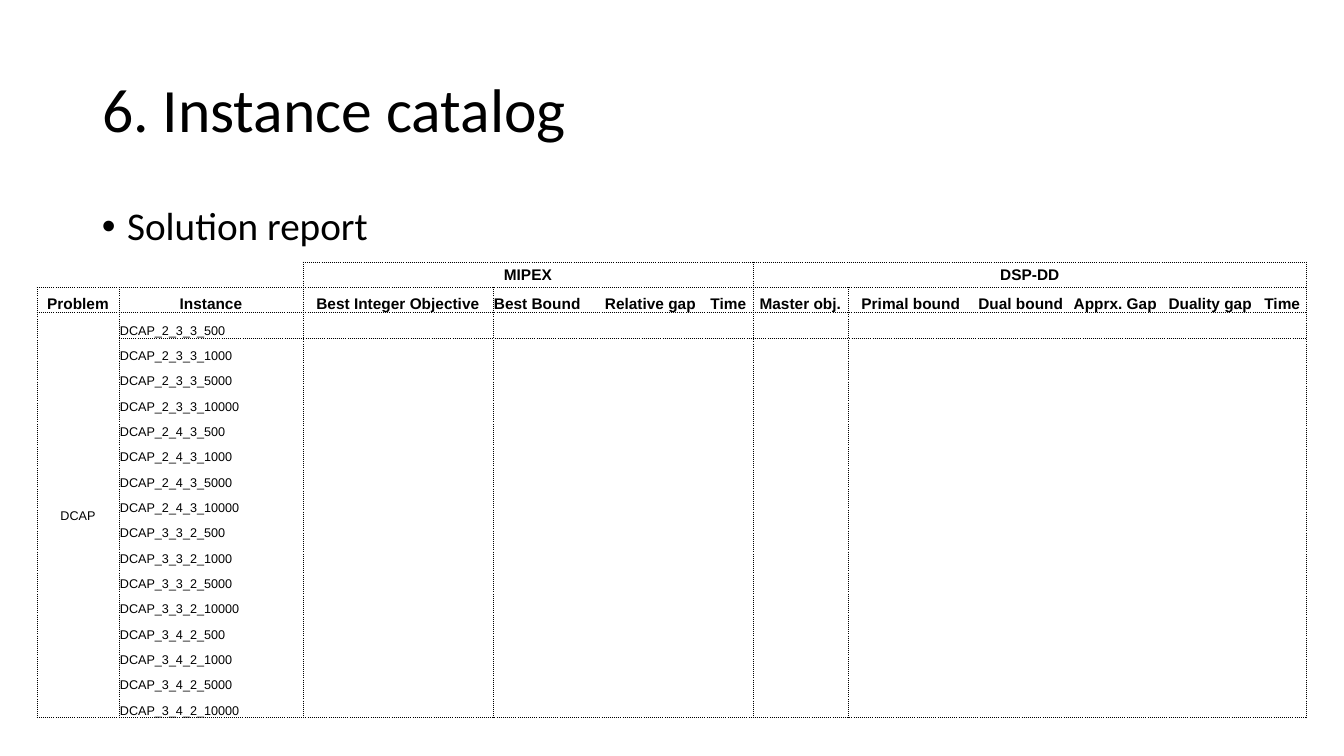
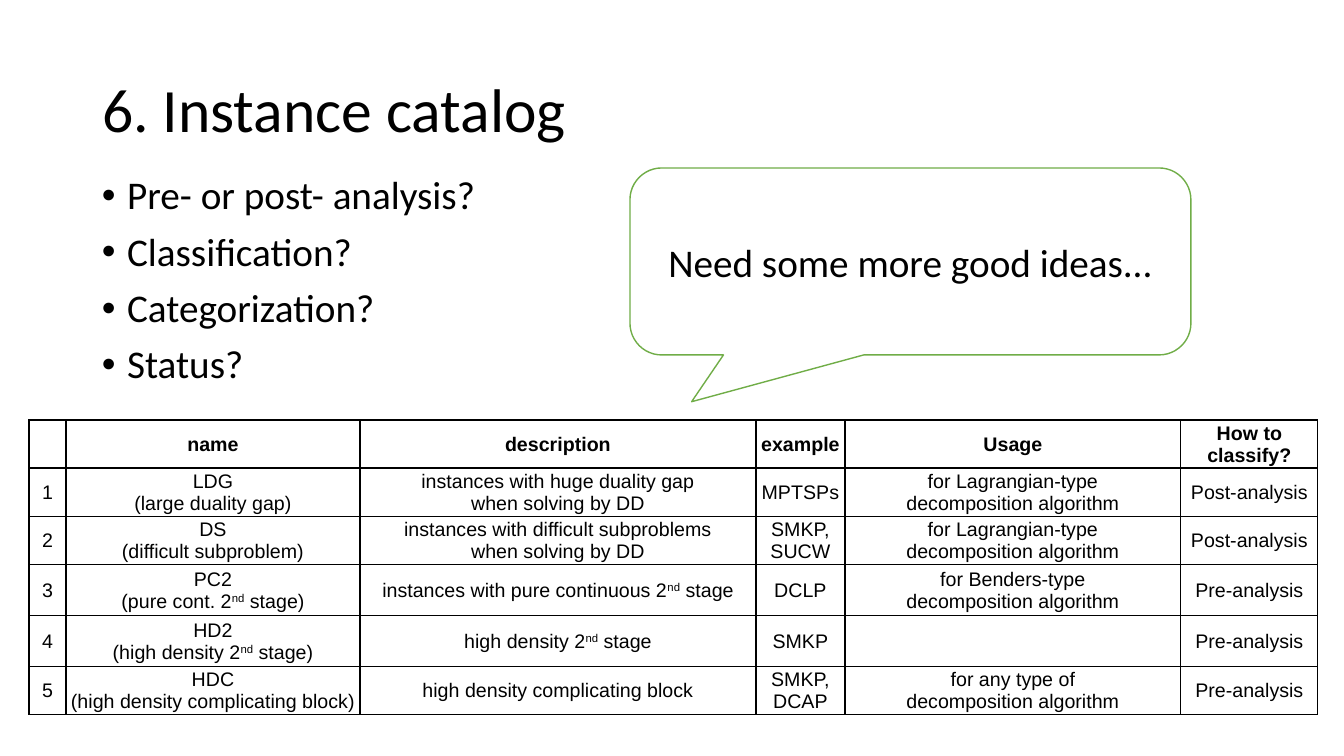
from dataclasses import dataclass
from itertools import product

from lxml import etree
from pptx import Presentation
from pptx.dml.color import RGBColor
from pptx.enum.shapes import MSO_SHAPE
from pptx.enum.text import MSO_ANCHOR, PP_ALIGN
from pptx.oxml.ns import qn
from pptx.util import Emu, Pt

LEFT, CENTER = PP_ALIGN.LEFT, PP_ALIGN.CENTER
TOP, MIDDLE, BOTTOM = MSO_ANCHOR.TOP, MSO_ANCHOR.MIDDLE, MSO_ANCHOR.BOTTOM
CALLOUT = MSO_SHAPE.ROUNDED_RECTANGULAR_CALLOUT
TITLE_ONLY = 5
NO_GRID_STYLE = "{2D5ABB26-0587-4C30-8999-92F81FD0307C}"
SCALE = 914400 / 100.8


@dataclass(frozen=True)
class Theme:
    """Colours, fonts and type sizes shared by the slides."""
    ink: str = "000000"
    paper: str = "FFFFFF"
    accent: str = "70AD47"
    text_font: str = "Calibri"
    table_font: str = "Arial"
    title_size: int = 44
    body_size: int = 28
    table_size: int = 14
    report_head_size: int = 11
    report_size: int = 9


THEME = Theme()

TITLE = "6. Instance catalog"
TITLE_BOX = (92, 40, 1159, 146)

REPORT_COLS = [82, 184, 190, 104, 107, 49, 95, 126, 94, 95, 95, 49]
REPORT_HEADS = [
    "Problem", "Instance", "Best Integer Objective", "Best Bound",
    "Relative gap", "Time", "Master obj.", "Primal bound", "Dual bound",
    "Apprx. Gap", "Duality gap", "Time",
]
REPORT_ROW_BANDS = [(0, 0), (1, 1), (2, 17)]
REPORT_COL_BANDS = [(0, 0), (1, 1), (2, 5), (6, 11)]
INSTANCES = [
    f"DCAP_{size}_{scenarios}"
    for size, scenarios in product(
        ("2_3_3", "2_4_3", "3_3_2", "3_4_2"), (500, 1000, 5000, 10000))
]

QUESTIONS = ["Pre- or post- analysis?", "Classification?",
             "Categorization?", "Status?"]
CLASS_COLS = [37, 294, 396, 89, 336, 137]
CLASS_ROWS = [45, 46, 45, 51, 51, 45]
LAGRANGIAN = "for Lagrangian-type\ndecomposition algorithm"
CLASSES = [
    ["", "name", "description", "example", "Usage", "How to classify?"],
    ["1", "LDG\n(large duality gap)",
     "instances with huge duality gap\nwhen solving by DD",
     "MPTSPs", LAGRANGIAN, "Post-analysis"],
    ["2", "DS\n(difficult subproblem)",
     "instances with difficult subproblems\nwhen solving by DD",
     "SMKP, SUCW", LAGRANGIAN, "Post-analysis"],
    ["3", "PC2\n(pure cont. 2^nd^ stage)",
     "instances with pure continuous 2^nd^ stage",
     "DCLP", "for Benders-type\ndecomposition algorithm", "Pre-analysis"],
    ["4", "HD2\n(high density 2^nd^ stage)", "high density 2^nd^ stage",
     "SMKP", "", "Pre-analysis"],
    ["5", "HDC\n(high density complicating block)",
     "high density complicating block",
     "SMKP, DCAP", "for any type of\ndecomposition algorithm",
     "Pre-analysis"],
]


def px(value):
    """Turn pixels into EMU."""
    return Emu(round(value * SCALE))


def add_bullet(p):
    """Give a paragraph a round bullet with a hanging indent."""
    pPr = p._p.get_or_add_pPr()
    pPr.set("marL", "228600")
    pPr.set("indent", "-228600")
    etree.SubElement(pPr, qn("a:buFont"), typeface="Arial")
    etree.SubElement(pPr, qn("a:buChar"), char="\u2022")


def put_text(tf, text, *, size, font=THEME.text_font, bold=False, align=LEFT,
             anchor=TOP, spacing=None, before=None, bullet=False):
    """Write one paragraph a line; text between carets is superscript."""
    tf.word_wrap = True
    tf.vertical_anchor = anchor
    for i, line in enumerate(text.split("\n")):
        p = tf.paragraphs[0] if i == 0 else tf.add_paragraph()
        p.alignment = align
        if spacing:
            p.line_spacing = spacing
        if before:
            p.space_before = Pt(before)
        if bullet:
            add_bullet(p)
        if not line:
            etree.SubElement(p._p, qn("a:endParaRPr"), sz=str(size * 100))
            continue
        for j, part in enumerate(line.split("^")):
            r = p.add_run()
            r.text = part
            r.font.name, r.font.size, r.font.bold = font, Pt(size), bold
            r.font.color.rgb = RGBColor.from_string(THEME.ink)
            if j % 2:
                r._r.get_or_add_rPr().set("baseline", "30000")


def add_titled_slide(prs):
    """Add a slide with the shared title."""
    s = prs.slides.add_slide(prs.slide_layouts[TITLE_ONLY])
    title = s.shapes.title
    title.left, title.top, title.width, title.height = map(px, TITLE_BOX)
    put_text(title.text_frame, TITLE, size=THEME.title_size, anchor=MIDDLE,
             spacing=0.9)
    return s


def add_bullets(s, top, lines):
    """Add the bulleted body text."""
    sp = s.shapes.add_textbox(px(92), px(top), px(1159), px(480))
    put_text(sp.text_frame, "\n".join(lines), size=THEME.body_size,
             spacing=0.9, before=10, bullet=True)


def add_plain_table(s, left, top, cols, rows):
    """Add an unstyled table with the given column widths and row heights."""
    frame = s.shapes.add_table(len(rows), len(cols), px(left), px(top),
                               px(sum(cols)), px(sum(rows)))
    table = frame.table
    table.first_row = table.horz_banding = False
    table._tbl.tblPr.find(qn("a:tableStyleId")).text = NO_GRID_STYLE
    for column, width in zip(table.columns, cols):
        column.width = px(width)
    for row, height in zip(table.rows, rows):
        row.height = px(height)
    return table


def fill_cell(cell, text, *, size, anchor=MIDDLE, align=CENTER, bold=False):
    """Write a cell with narrow margins and no fill."""
    cell.margin_left = cell.margin_right = cell.margin_top = px(1)
    cell.margin_bottom = 0
    cell.fill.background()
    put_text(cell.text_frame, text, size=size, font=THEME.table_font,
             bold=bold, align=align)
    cell.vertical_anchor = anchor


def set_borders(cell, sides, width, dash):
    """Draw the named sides (from L, R, T, B) of a cell."""
    tcPr = cell._tc.get_or_add_tcPr()
    for i, side in enumerate(sides):
        ln = etree.Element(qn(f"a:ln{side}"), w=str(Pt(width)))
        fill = etree.SubElement(ln, qn("a:solidFill"))
        etree.SubElement(fill, qn("a:srgbClr"), val=THEME.ink)
        etree.SubElement(ln, qn("a:prstDash"), val=dash)
        tcPr.insert(i, ln)


def outline(table, row_band, col_band, width, dash):
    """Draw a border round a block of cells."""
    (r0, r1), (c0, c1) = row_band, col_band
    for r, c in product(range(r0, r1 + 1), range(c0, c1 + 1)):
        cell = table.cell(r, c)
        edges = {"L": c == c0, "R": c == c1, "T": r == r0, "B": r == r1}
        merged = cell.is_merge_origin or cell.is_spanned
        sides = [side for side, on in edges.items() if on or merged]
        set_borders(cell, sides, width, dash)


def report_cell(r, c):
    """Return the text and format of one cell of the solution report."""
    head = dict(size=THEME.report_head_size, bold=True)
    body = dict(size=THEME.report_size)
    if r == 0:
        return {2: "MIPEX", 6: "DSP-DD"}.get(c, ""), head
    if r == 1:
        align = LEFT if REPORT_HEADS[c] == "Best Bound" else CENTER
        return REPORT_HEADS[c], dict(head, anchor=BOTTOM, align=align)
    if c == 1:
        return INSTANCES[r - 2], dict(body, anchor=BOTTOM, align=LEFT)
    return ("DCAP" if (r, c) == (2, 0) else ""), body


def build_report(prs):
    """Build the solution report slide."""
    s = add_titled_slide(prs)
    add_bullets(s, 202, ["Solution report"])
    count = len(INSTANCES) + 2
    table = add_plain_table(s, 37, 262, REPORT_COLS, [456 / count] * count)
    for r, c in product(range(count), range(len(REPORT_COLS))):
        text, style = report_cell(r, c)
        fill_cell(table.cell(r, c), text, **style)
    for first, last in [((0, 2), (0, 5)), ((0, 6), (0, 11)),
                        ((2, 0), (count - 1, 0))]:
        table.cell(*first).merge(table.cell(*last))
    for row_band, col_band in product(REPORT_ROW_BANDS, REPORT_COL_BANDS):
        if row_band[0] > 0 or col_band[0] > 1:
            outline(table, row_band, col_band, 0.5, "dot")
    set_borders(table.cell(0, 0), "B", 0.5, "dot")
    set_borders(table.cell(0, 1), "RB", 0.5, "dot")


def add_callout(s, text):
    """Add the rounded speech callout."""
    sp = s.shapes.add_shape(CALLOUT, px(630), px(168), px(561), px(187))
    for i, value in enumerate((-0.39, 0.75, 0.17)):
        sp.adjustments[i] = value
    sp.shadow.inherit = False
    sp.fill.solid()
    sp.fill.fore_color.rgb = RGBColor.from_string(THEME.paper)
    sp.line.color.rgb = RGBColor.from_string(THEME.accent)
    sp.line.width = Pt(1)
    put_text(sp.text_frame, text, size=THEME.body_size, align=CENTER,
             anchor=MIDDLE)


def build_classes(prs):
    """Build the slide on classes of instances."""
    s = add_titled_slide(prs)
    add_bullets(s, 171, QUESTIONS)
    table = add_plain_table(s, 29, 420, CLASS_COLS, CLASS_ROWS)
    for r, row in enumerate(CLASSES):
        for c, text in enumerate(row):
            fill_cell(table.cell(r, c), text, size=THEME.table_size,
                      bold=r == 0)
            outline(table, (r, r), (c, c), 1, "solid")
    add_callout(s, "Need some more good ideas...")


def main():
    """Build and save the presentation."""
    prs = Presentation()
    prs.slide_width, prs.slide_height = px(1344), px(756)
    build_report(prs)
    build_classes(prs)
    prs.save("out.pptx")


main()
